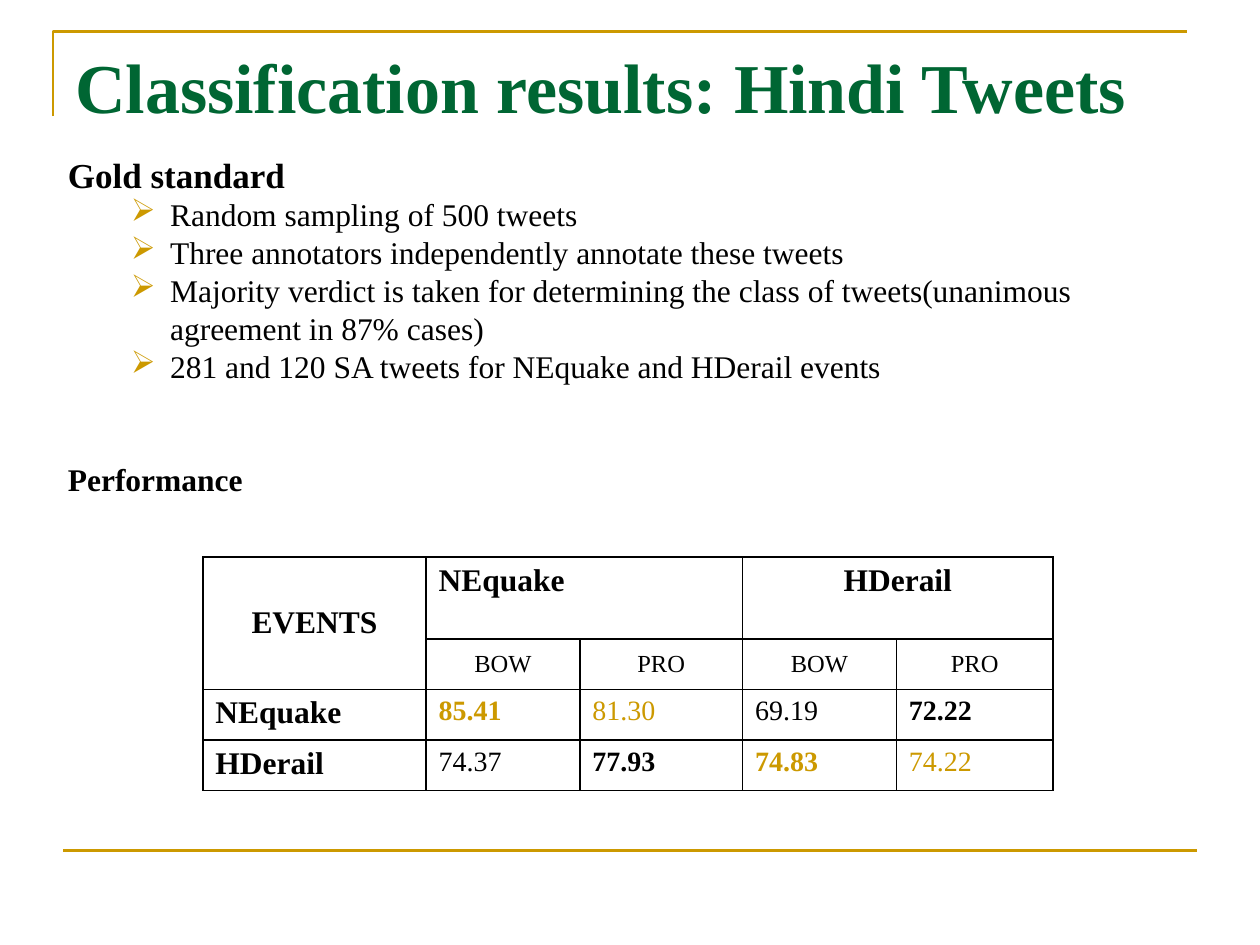
from lxml.etree import SubElement
from pptx import Presentation
from pptx.dml.color import RGBColor
from pptx.enum.shapes import MSO_CONNECTOR as Connector
from pptx.enum.text import MSO_ANCHOR as Anchor, PP_ALIGN as Align
from pptx.oxml.ns import qn
from pptx.util import Cm, Pt

GOLD = RGBColor(0xCC, 0x99, 0x00)
GREEN = RGBColor(0x00, 0x66, 0x33)
BLACK = RGBColor(0x00, 0x00, 0x00)
FONT = "Times New Roman"

GOLD_STANDARD = [
    "Random sampling of 500 tweets",
    "Three annotators independently annotate these tweets",
    "Majority verdict is taken for determining the class of tweets"
    "(unanimous agreement in 87% cases)",
    "281 and 120 SA tweets for NEquake and HDerail events",
]
COLUMN_WIDTHS = [4.5, 3.1, 3.28, 3.1, 3.16]
ROW_HEIGHTS = [1.65, 0.95, 0.96, 0.95]

# Text formats
HEADING = {"size": Pt(18), "bold": True}
METHOD = {"size": Pt(14)}
SCORE = {"size": Pt(16)}
BEST = {**SCORE, "bold": True}
SAME_EVENT = {**SCORE, "color": GOLD}
SAME_EVENT_BEST = {**BEST, "color": GOLD}

RESULTS = [
    ("NEquake", [("85.41", SAME_EVENT_BEST), ("81.30", SAME_EVENT),
                 ("69.19", SCORE), ("72.22", BEST)]),
    ("HDerail", [("74.37", SCORE), ("77.93", BEST),
                 ("74.83", SAME_EVENT_BEST), ("74.22", SAME_EVENT)]),
]


def write(paragraph, text, color=BLACK, **font_format):
    run = paragraph.add_run()
    run.text = text
    run.font.color.rgb = color
    for name, value in {"name": FONT, "bold": False, **font_format}.items():
        setattr(run.font, name, value)


def add_text(slide, left, top, width, height, text, wrap=True, **font_format):
    frame = slide.shapes.add_textbox(
        Cm(left), Cm(top), Cm(width), Cm(height)).text_frame
    frame.word_wrap = wrap
    write(frame.paragraphs[0], text, **font_format)
    return frame


def add_bullet(frame, text):
    paragraph = frame.add_paragraph()
    paragraph.level = 1
    properties = paragraph._p.get_or_add_pPr()
    properties.set("marL", str(Cm(2.06)))
    properties.set("indent", str(Cm(-0.79)))
    bullet_color = SubElement(properties, qn("a:buClr"))
    SubElement(bullet_color, qn("a:srgbClr"), val=str(GOLD))
    SubElement(properties, qn("a:buChar"), char="➢")
    write(paragraph, text, size=Pt(18))


def add_frame_lines(slide):
    # Corner line around the title
    builder = slide.shapes.build_freeform(Cm(1.07), Cm(2.34))
    builder.add_line_segments(
        [(Cm(1.07), Cm(0.64)), (Cm(23.93), Cm(0.64))], close=False)
    corner = builder.convert_to_shape()
    corner.shadow.inherit = False
    corner.fill.background()
    # Footer line
    footer = slide.shapes.add_connector(
        Connector.STRAIGHT, Cm(1.27), Cm(17.15), Cm(24.13), Cm(17.15))
    SubElement(footer._element.spPr, qn("a:effectLst"))
    for rule in (corner, footer):
        rule.line.color.rgb = GOLD
        rule.line.width = Pt(1.5)


def add_borders(cell):
    properties = cell._tc.get_or_add_tcPr()
    for position, side in enumerate(("a:lnL", "a:lnR", "a:lnT", "a:lnB")):
        border = properties.makeelement(qn(side), {"w": str(Pt(1))})
        fill = SubElement(border, qn("a:solidFill"))
        SubElement(fill, qn("a:srgbClr"), val=str(BLACK))
        properties.insert(position, border)


def fill_cell(cell, text, font_format, align=Align.LEFT, anchor=Anchor.TOP):
    paragraph = cell.text_frame.paragraphs[0]
    paragraph.alignment = align
    cell.vertical_anchor = anchor
    write(paragraph, text, **font_format)


def add_results_table(slide):
    table = slide.shapes.add_table(
        len(ROW_HEIGHTS), len(COLUMN_WIDTHS), Cm(4.09), Cm(11.23),
        Cm(sum(COLUMN_WIDTHS)), Cm(sum(ROW_HEIGHTS))).table
    for column, width in zip(table.columns, COLUMN_WIDTHS):
        column.width = Cm(width)
    for row, height in zip(table.rows, ROW_HEIGHTS):
        row.height = Cm(height)
    for cell in table.iter_cells():
        cell.fill.background()
        add_borders(cell)

    # Header rows
    for first, last in (((0, 0), (1, 0)), ((0, 1), (0, 2)), ((0, 3), (0, 4))):
        table.cell(*first).merge(table.cell(*last))
    fill_cell(table.cell(0, 0), "EVENTS", HEADING, Align.CENTER, Anchor.MIDDLE)
    fill_cell(table.cell(0, 1), "NEquake", HEADING)
    fill_cell(table.cell(0, 3), "HDerail", HEADING, Align.CENTER)
    for column, method in enumerate(("BOW", "PRO") * 2, start=1):
        fill_cell(table.cell(1, column), method, METHOD,
                  Align.CENTER, Anchor.MIDDLE)

    # Scores
    for row, (event, scores) in enumerate(RESULTS, start=2):
        fill_cell(table.cell(row, 0), event, HEADING)
        for column, (score, font_format) in enumerate(scores, start=1):
            fill_cell(table.cell(row, column), score, font_format)


def main():
    presentation = Presentation()
    presentation.slide_width = Cm(25.4)
    presentation.slide_height = Cm(19.05)
    slide = presentation.slides.add_slide(presentation.slide_layouts[6])

    add_frame_lines(slide)
    add_text(slide, 1.27, 0.76, 22.86, 3.18,
             "Classification results: Hindi Tweets",
             color=GREEN, size=Pt(40), bold=True)
    add_results_table(slide)

    # Gold standard and performance headings
    gold_standard = add_text(slide, 1.12, 2.97, 23.06, 5.13, "Gold standard",
                             size=Pt(20), bold=True)
    for point in GOLD_STANDARD:
        add_bullet(gold_standard, point)
    add_text(slide, 1.12, 9.14, 4.06, 1.02, "Performance", wrap=False,
             **HEADING)

    presentation.save("out.pptx")


if __name__ == "__main__":
    main()
